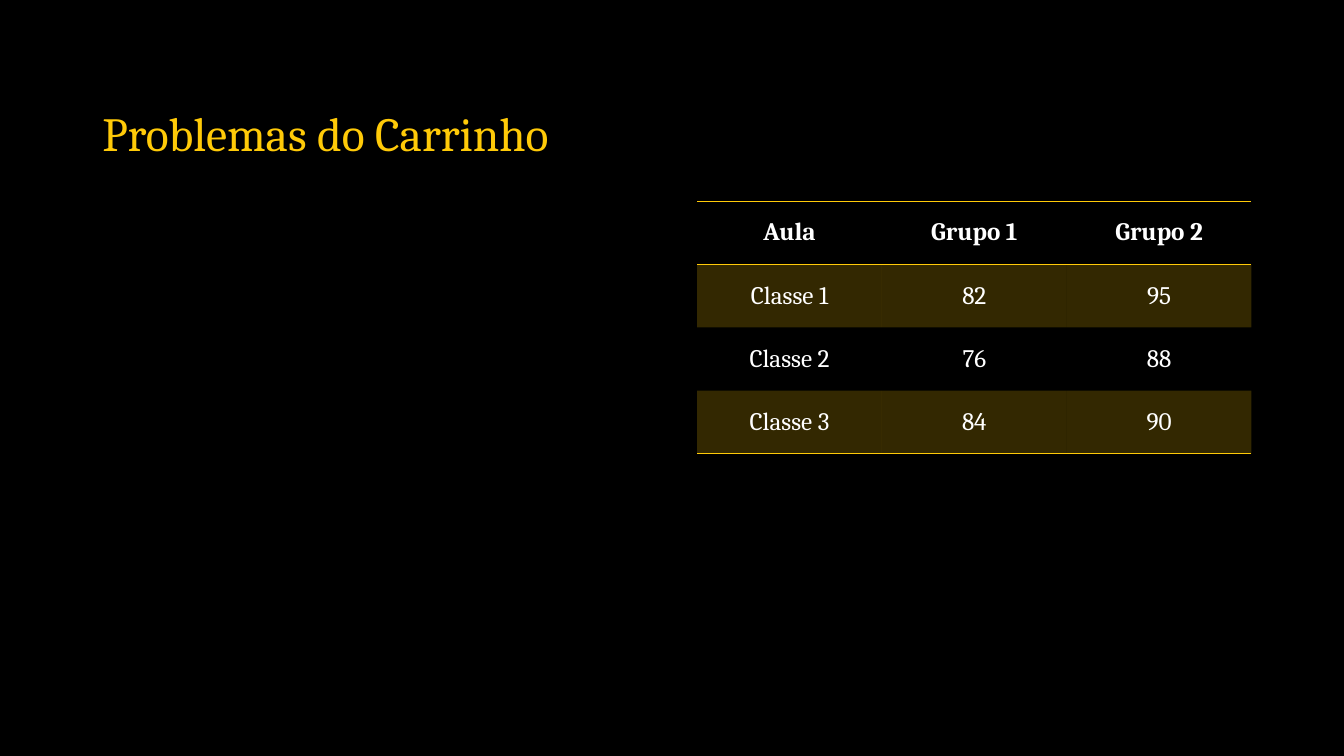
from lxml.etree import SubElement
from pptx import Presentation
from pptx.dml.color import RGBColor
from pptx.enum.text import MSO_ANCHOR, PP_ALIGN
from pptx.oxml import parse_xml
from pptx.oxml.ns import nsdecls, qn
from pptx.util import Cm, Pt

COLORS = {"background": "000000", "accent": "FFCA08", "text": "FFFFFF"}
FONT = "Cambria"
NO_STYLE_NO_GRID = "{2D5ABB26-0587-4C30-8999-92F81FD0307C}"
SCORES = [
    ["Aula", "Grupo 1", "Grupo 2"],
    ["Classe 1", "82", "95"],
    ["Classe 2", "76", "88"],
    ["Classe 3", "84", "90"],
]


def rgb(name):
    return RGBColor.from_string(COLORS[name])


class SlideBuilder:
    def __init__(self, prs):
        self.slide = prs.slides.add_slide(prs.slide_layouts[6])
        fill = self.slide.background.fill
        fill.solid()
        fill.fore_color.rgb = rgb("background")

    def add_text(self, p, text, color, **font):
        r = p.add_run()
        r.text = text
        r.font.color.rgb = rgb(color)
        for name, value in {"name": FONT, **font}.items():
            setattr(r.font, name, value)

    def title(self, text, left, top, width, height):
        sp = self.slide.shapes.add_textbox(Cm(left), Cm(top), Cm(width), Cm(height))
        tf = sp.text_frame
        for name, value in {"word_wrap": True, "vertical_anchor": MSO_ANCHOR.BOTTOM}.items():
            setattr(tf, name, value)
        p = tf.paragraphs[0]
        p.line_spacing = 0.9
        self.add_text(p, text, "accent", size=Pt(34))

    def border(self, cell, side, index):
        ln = parse_xml(
            f'<a:{side} {nsdecls("a")} w="12700"><a:solidFill>'
            f'<a:srgbClr val="{COLORS["accent"]}"/></a:solidFill></a:{side}>'
        )
        cell._tc.get_or_add_tcPr().insert(index, ln)

    def shade(self, cell, alpha):
        cell.fill.solid()
        cell.fill.fore_color.rgb = rgb("accent")
        clr = next(cell._tc.tcPr.iter(qn("a:srgbClr")))
        SubElement(clr, qn("a:alpha")).set("val", str(alpha * 1000))

    def table(self, rows, left, top, width, height):
        frame = self.slide.shapes.add_table(
            len(rows), len(rows[0]), Cm(left), Cm(top), Cm(width), Cm(height)
        )
        table = frame.table
        table._tbl.tblPr.find(qn("a:tableStyleId")).text = NO_STYLE_NO_GRID
        last = len(rows) - 1
        for i, row in enumerate(rows):
            for j, text in enumerate(row):
                cell = table.cell(i, j)
                cell.vertical_anchor = MSO_ANCHOR.MIDDLE
                p = cell.text_frame.paragraphs[0]
                p.alignment = PP_ALIGN.CENTER
                self.add_text(p, text, "text", size=Pt(18), bold=i == 0)
                if i % 2:
                    self.shade(cell, 20)
                else:
                    cell.fill.background()
                sides = {0: ["lnT", "lnB"], last: ["lnB"]}.get(i, [])
                for index, side in enumerate(sides):
                    self.border(cell, side, index)


def main():
    prs = Presentation()
    prs.slide_width, prs.slide_height = Cm(33.87), Cm(19.05)
    s = SlideBuilder(prs)
    s.title("Problemas do Carrinho", 2.33, 1.01, 29.21, 3.18)
    s.table(SCORES, 17.57, 5.07, 13.97, 6.36)
    prs.save("out.pptx")


if __name__ == "__main__":
    main()
